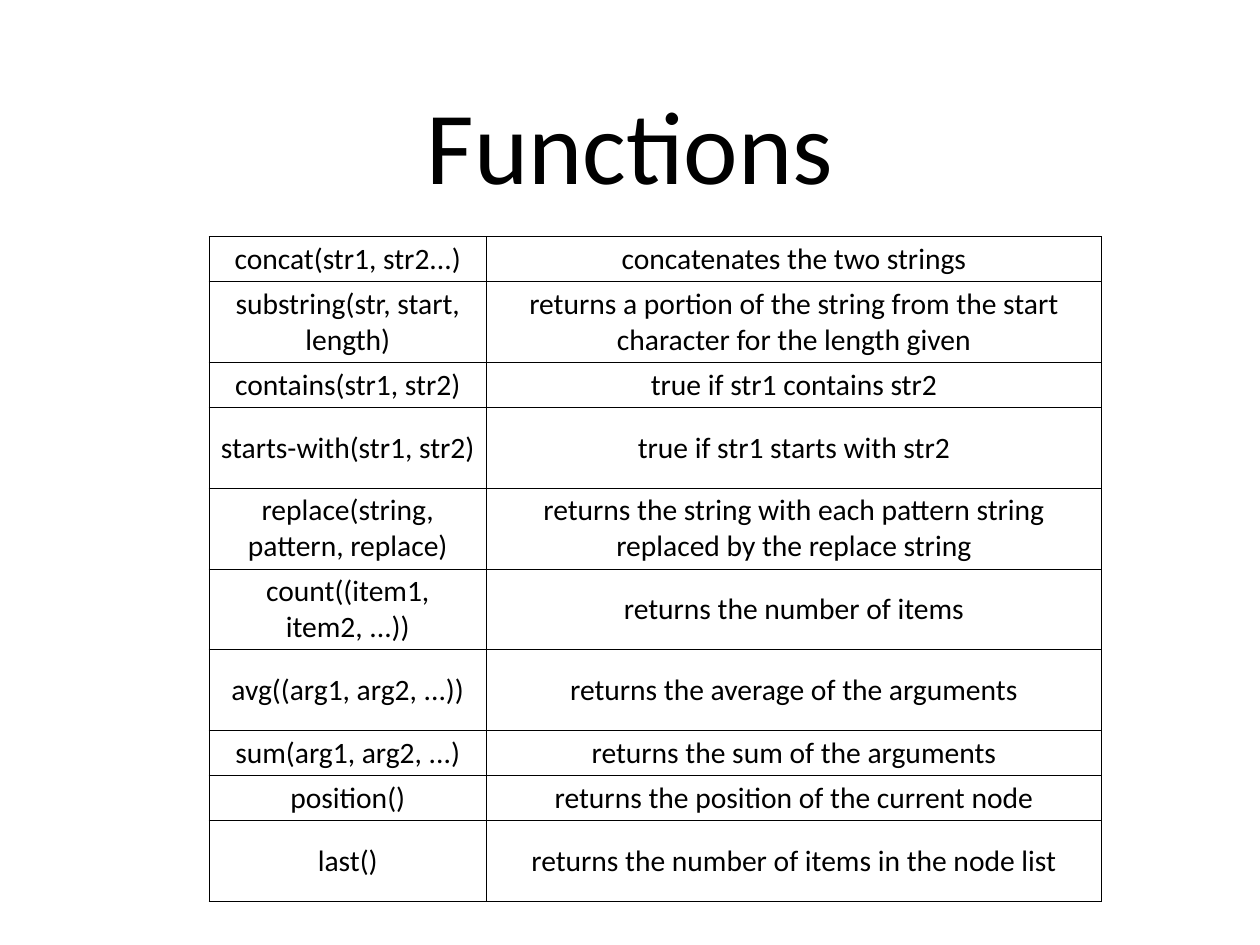
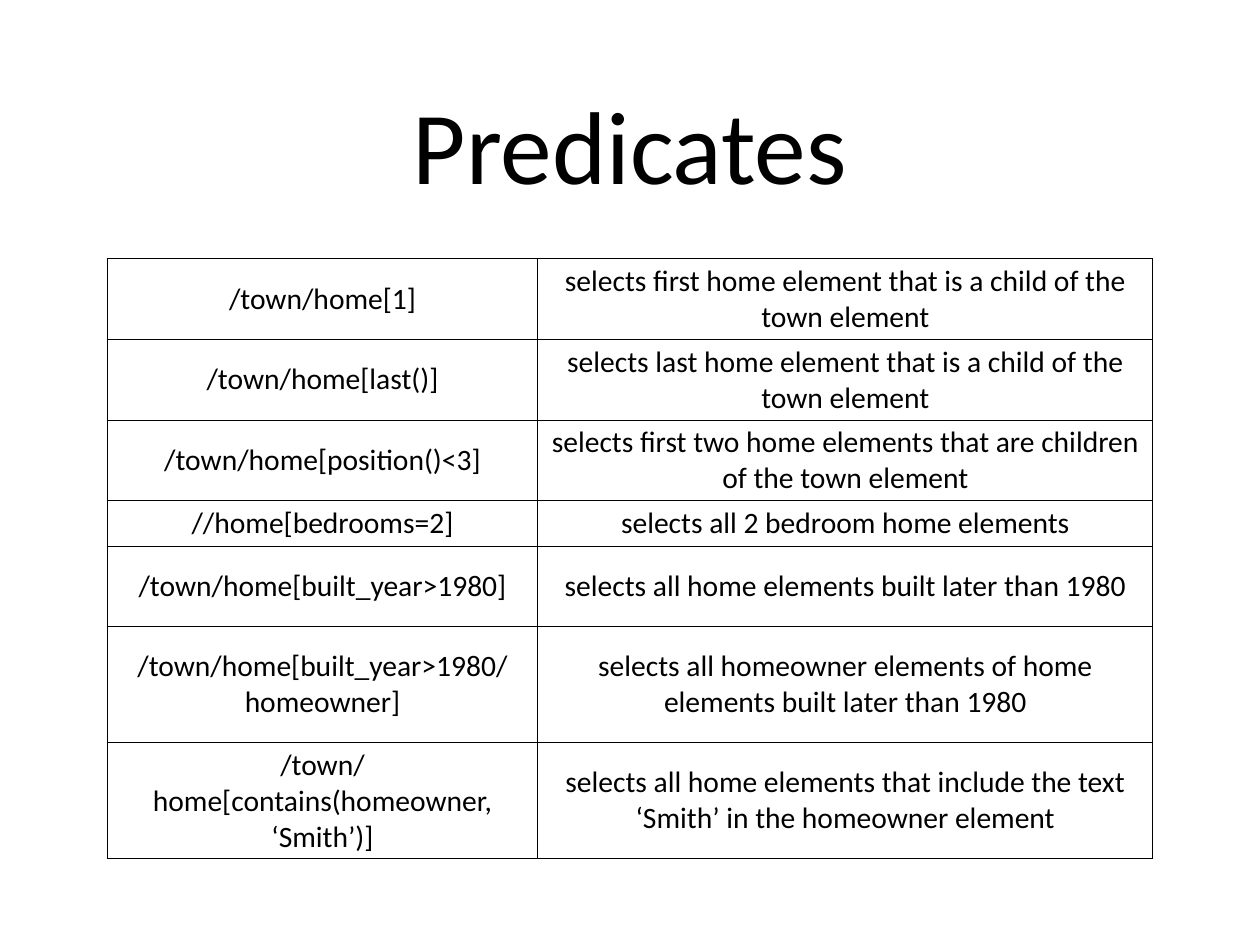
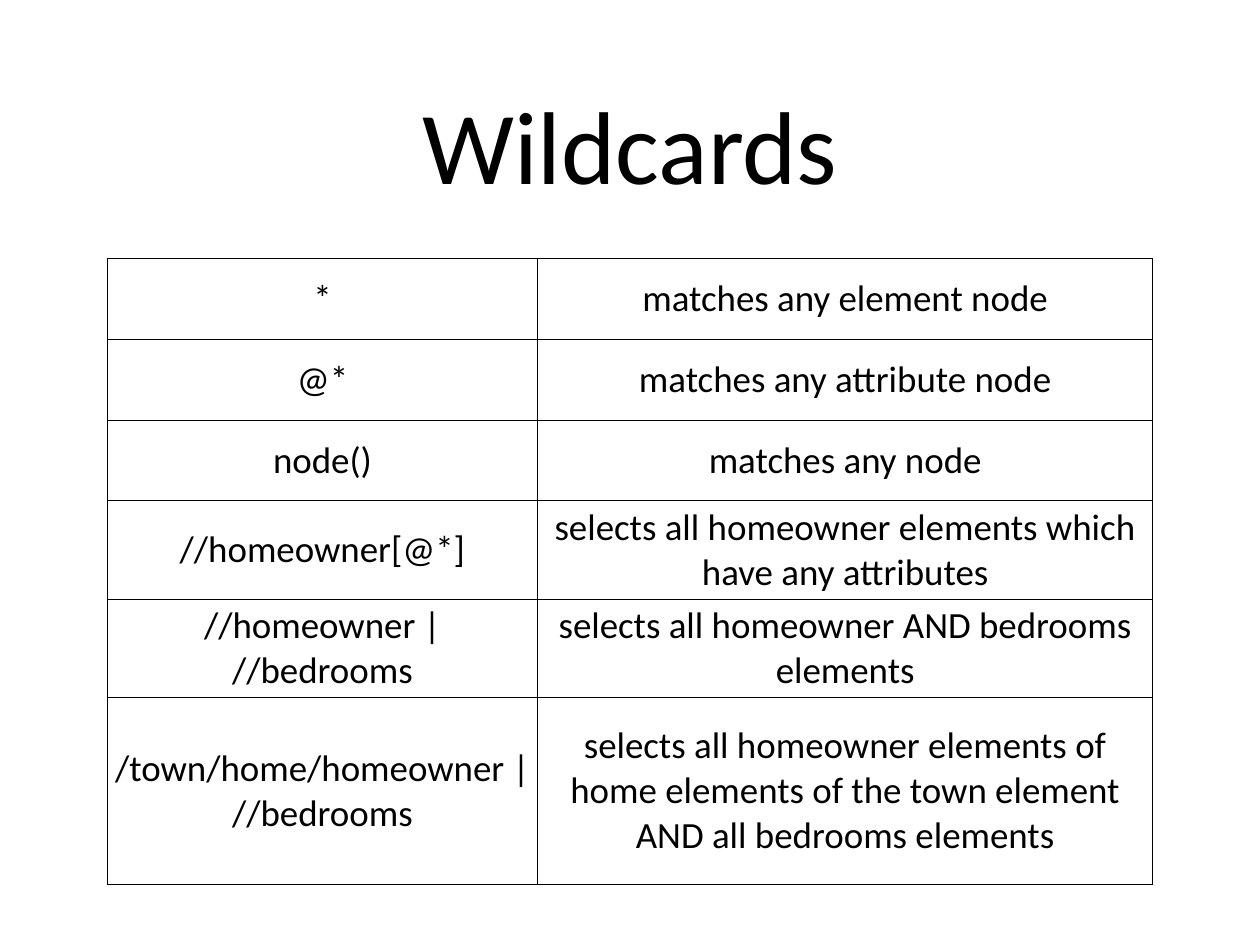
"""Build three reference slides on XPath functions, predicates and wildcards."""
from dataclasses import dataclass

from lxml import etree
from pptx import Presentation
from pptx.dml.color import RGBColor
from pptx.enum.text import MSO_ANCHOR, PP_ALIGN
from pptx.oxml.ns import qn
from pptx.slide import Slide
from pptx.table import _Cell
from pptx.text.text import TextFrame
from pptx.util import Inches, Pt

CENTER = PP_ALIGN.CENTER
MIDDLE = MSO_ANCHOR.MIDDLE


@dataclass(frozen=True)
class Theme:
    font: str = "Calibri"
    ink: str = "000000"
    paper: str = "FFFFFF"
    title_size: float = 84
    text_size: float = 24
    large_text_size: float = 30
    border_width: float = 0.96
    inset: float = 0.06
    cell_inset: float = 0.05


@dataclass(frozen=True)
class Entry:
    expression: str
    meaning: str
    height: float


@dataclass(frozen=True)
class Topic:
    title: str
    left: float
    top: float
    expression_width: float
    text_size: float
    entries: tuple[Entry, ...]


THEME = Theme()
SLIDE_WIDTH, SLIDE_HEIGHT = 14.22, 10.66
TITLE_BOX = (1.39, 0.28, 11.44, 2.67)
MEANING_WIDTH = 6.94
ONE_LINE, TWO_LINES, THREE_LINES = 0.51, 0.91, 1.31
LARGE_TWO_LINES, LARGE_FOUR_LINES = 1.11, 2.11

TOPICS = (
    Topic("Functions", 2.36, 2.67, 3.13, THEME.text_size, (
        Entry("concat(str1, str2...)", "concatenates the two strings", ONE_LINE),
        Entry("substring(str, start, length)",
              "returns a portion of the string from the start character for the length given",
              TWO_LINES),
        Entry("contains(str1, str2)", "true if str1 contains str2", ONE_LINE),
        Entry("starts-with(str1, str2)", "true if str1 starts with str2", TWO_LINES),
        Entry("replace(string, pattern, replace)",
              "returns the string with each pattern string replaced by the replace string",
              TWO_LINES),
        Entry("count((item1, item2, ...))", "returns the number of items", TWO_LINES),
        Entry("avg((arg1, arg2, ...))", "returns the average of the arguments", TWO_LINES),
        Entry("sum(arg1, arg2, ...)", "returns the sum of the arguments", ONE_LINE),
        Entry("position()", "returns the position of the current node", ONE_LINE),
        Entry("last()", "returns the number of items in the node list", TWO_LINES),
    )),
    Topic("Predicates", 1.21, 2.92, 4.86, THEME.text_size, (
        Entry("/town/home[1]",
              "selects first home element that is a child of the town element", TWO_LINES),
        Entry("/town/home[last()]",
              "selects last home element that is a child of the town element", TWO_LINES),
        Entry("/town/home[position()<3]",
              "selects first two home elements that are children of the town element",
              TWO_LINES),
        Entry("//home[bedrooms=2]", "selects all 2 bedroom home elements", ONE_LINE),
        Entry("/town/home[built_year>1980]",
              "selects all home elements built later than 1980", TWO_LINES),
        Entry("/town/home[built_year>1980/homeowner]",
              "selects all homeowner elements of home elements built later than 1980",
              THREE_LINES),
        Entry("/town/home[contains(homeowner, ‘Smith’)]",
              "selects all home elements that include the text ‘Smith’ in the homeowner element",
              THREE_LINES),
    )),
    Topic("Wildcards", 1.21, 2.92, 4.86, THEME.large_text_size, (
        Entry("*", "matches any element node", TWO_LINES),
        Entry("@*", "matches any attribute node", TWO_LINES),
        Entry("node()", "matches any node", TWO_LINES),
        Entry("//homeowner[@*]",
              "selects all homeowner elements which have any attributes", LARGE_TWO_LINES),
        Entry("//homeowner | //bedrooms",
              "selects all homeowner AND bedrooms elements", LARGE_TWO_LINES),
        Entry("/town/home/homeowner | //bedrooms",
              "selects all homeowner elements of home elements of the town element"
              " AND all bedrooms elements", LARGE_FOUR_LINES),
    )),
)


def write_centered(frame: TextFrame, wording: str, size: float) -> None:
    frame.text = wording
    frame.word_wrap = True
    paragraph = frame.paragraphs[0]
    paragraph.alignment = CENTER
    for run in paragraph.runs:
        run.font.name = THEME.font
        run.font.size = Pt(size)
        run.font.color.rgb = RGBColor.from_string(THEME.ink)


def add_title(slide: Slide, title: str) -> None:
    frame = slide.shapes.add_textbox(*map(Inches, TITLE_BOX)).text_frame
    write_centered(frame, title, THEME.title_size)
    frame.vertical_anchor = MIDDLE
    frame.margin_left = frame.margin_right = Inches(THEME.inset)
    frame.margin_top = frame.margin_bottom = Inches(THEME.inset)


def add_borders(cell: _Cell) -> None:
    properties = cell._tc.get_or_add_tcPr()
    for side in ("a:lnL", "a:lnR", "a:lnT", "a:lnB"):
        border = etree.SubElement(properties, qn(side), w=str(Pt(THEME.border_width)))
        fill = etree.SubElement(border, qn("a:solidFill"))
        etree.SubElement(fill, qn("a:srgbClr"), val=THEME.ink)


def fill_cell(cell: _Cell, wording: str, size: float) -> None:
    write_centered(cell.text_frame, wording, size)
    cell.vertical_anchor = MIDDLE
    cell.margin_left = cell.margin_right = Inches(THEME.inset)
    cell.margin_top = cell.margin_bottom = Inches(THEME.cell_inset)
    add_borders(cell)
    cell.fill.background()


def add_entries(slide: Slide, topic: Topic) -> None:
    widths = (topic.expression_width, MEANING_WIDTH)
    height = sum(entry.height for entry in topic.entries)
    table = slide.shapes.add_table(
        len(topic.entries), len(widths), Inches(topic.left), Inches(topic.top),
        Inches(sum(widths)), Inches(height)).table
    table.first_row = table.horz_banding = False
    for column, width in zip(table.columns, widths):
        column.width = Inches(width)
    for row, entry in zip(table.rows, topic.entries):
        row.height = Inches(entry.height)
        for cell, wording in zip(row.cells, (entry.expression, entry.meaning)):
            fill_cell(cell, wording, topic.text_size)


def main() -> None:
    deck = Presentation()
    deck.slide_width = Inches(SLIDE_WIDTH)
    deck.slide_height = Inches(SLIDE_HEIGHT)
    background = deck.slide_master.background.fill
    background.solid()
    background.fore_color.rgb = RGBColor.from_string(THEME.paper)
    blank = deck.slide_layouts[6]
    for topic in TOPICS:
        slide = deck.slides.add_slide(blank)
        add_title(slide, topic.title)
        add_entries(slide, topic)
    deck.save("out.pptx")


if __name__ == "__main__":
    main()
